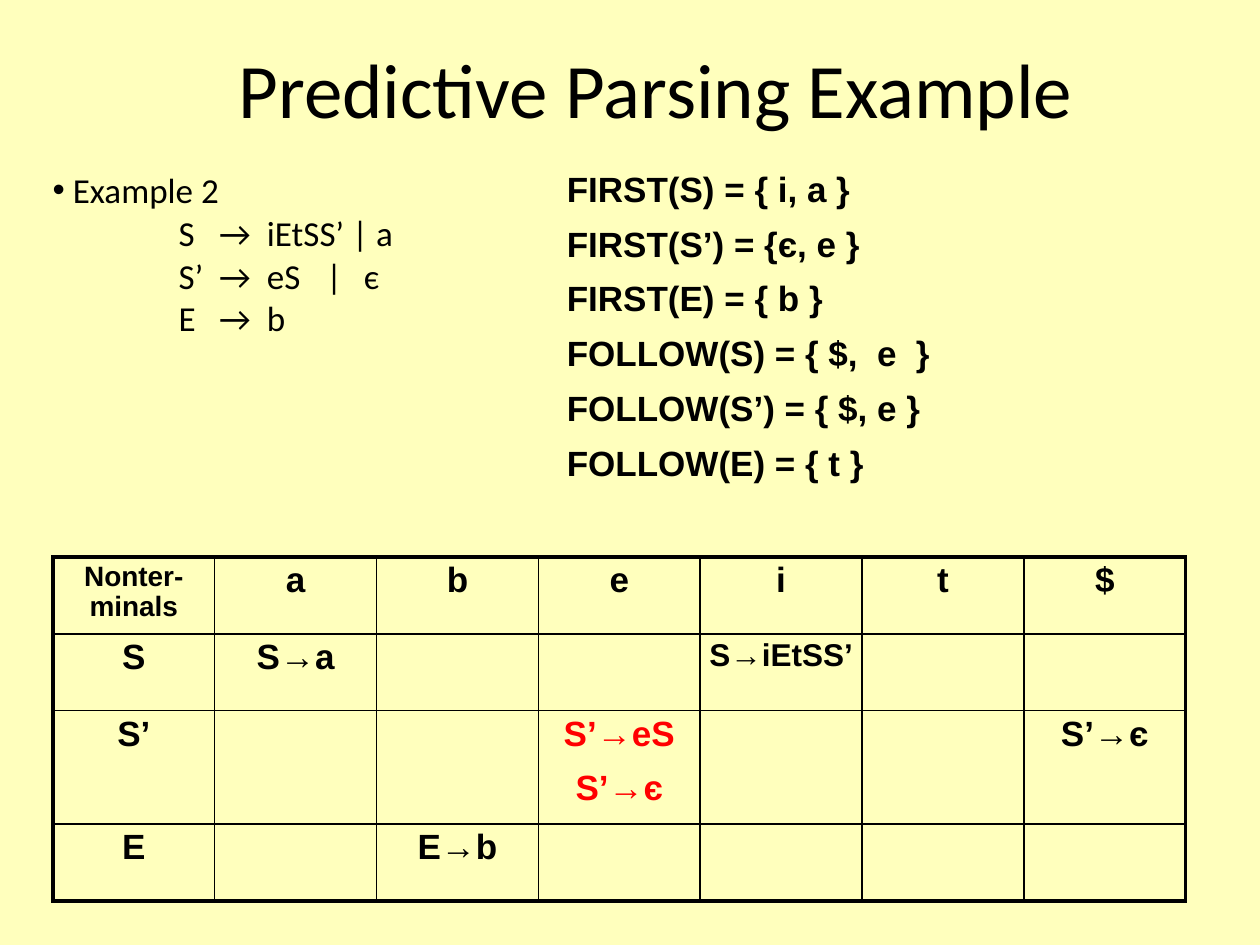
"""Build the predictive parsing example slide."""
import pptx
import pptx.dml.color
import pptx.enum.text
import pptx.oxml.ns
import pptx.util
from lxml import etree

Inches, Pt = pptx.util.Inches, pptx.util.Pt
ALIGN, ANCHOR = pptx.enum.text.PP_ALIGN, pptx.enum.text.MSO_ANCHOR
qn = pptx.oxml.ns.qn

COLORS = {"paper": "FFFFBD", "ink": "000000", "conflict": "FF0000"}
TITLE = "Predictive Parsing Example"
EXAMPLE = "Example 2"
GRAMMAR = ["\tS\t→\tiEtSS’ | a", "\tS’\t→\teS\t|\tє", "\tE\t→\tb"]
GRAMMAR_TABS = [1, 1.32, 1.7, 2.17, 2.47]
SETS = [
    "FIRST(S) = { i, a }",
    "FIRST(S’) = {є, e }",
    "FIRST(E) = { b }",
    "FOLLOW(S) = { $,  e  }",
    "FOLLOW(S’) = { $, e }",
    "FOLLOW(E) = { t }",
]
PARSE_TABLE = [
    ["Nonter-minals", "a", "b", "e", "i", "t", "$"],
    ["S", "S→a", "", "", "S→iEtSS’", "", ""],
    ["S’", "", "", "S’→eS\nS’→є", "", "", "S’→є"],
    ["E", "", "E→b", "", "", "", ""],
]
CELL_SIZES = {(0, 0): 16, (1, 4): 18}
CONFLICT = (2, 3)
ROW_HEIGHT, TALL_ROW_HEIGHT = 0.61, 0.9
TABLE_LEFT, TABLE_TOP, TABLE_WIDTH = 0.42, 4.42, 8.99
THICK, THIN = 2.25, 1


def rgb(name):
    return pptx.dml.color.RGBColor.from_string(COLORS[name])


def style(p, size, font, color="ink", bold=False, align=ALIGN.LEFT, spacing=1.0, before=0):
    p.alignment, p.line_spacing = align, spacing
    p.space_before = Pt(before)
    for r in p.runs:
        r.font.size, r.font.name, r.font.bold = Pt(size), font, bold
        r.font.color.rgb = rgb(color)


def fill_text(tf, lines, gap, **look):
    tf.text = "\n".join(lines)
    for i, p in enumerate(tf.paragraphs):
        style(p, before=gap if i else 0, **look)


def add_text(slide, box, lines, gap=0, anchor=ANCHOR.TOP, **look):
    tf = slide.shapes.add_textbox(*map(Inches, box)).text_frame
    tf.word_wrap, tf.vertical_anchor = True, anchor
    fill_text(tf, lines, gap, **look)
    return tf


def add_bullet(p, indent):
    ppr = p._p.get_or_add_pPr()
    ppr.set("marL", str(Inches(indent)))
    ppr.set("indent", str(-Inches(indent)))
    etree.SubElement(ppr, qn("a:buFont"), typeface="Arial")
    etree.SubElement(ppr, qn("a:buChar"), char="•")


def add_tabs(p, stops):
    tabs = etree.SubElement(p._p.get_or_add_pPr(), qn("a:tabLst"))
    for stop in stops:
        etree.SubElement(tabs, qn("a:tab"), pos=str(Inches(stop)), algn="l")


def set_border(cell, side, width):
    ln = etree.SubElement(cell._tc.get_or_add_tcPr(), qn(f"a:ln{side}"), w=str(Pt(width)))
    fill = etree.SubElement(ln, qn("a:solidFill"))
    etree.SubElement(fill, qn("a:srgbClr"), val=COLORS["ink"])


def add_parse_table(slide):
    rows, cols = len(PARSE_TABLE), len(PARSE_TABLE[0])
    heights = [TALL_ROW_HEIGHT if i == CONFLICT[0] else ROW_HEIGHT for i in range(rows)]
    box = TABLE_LEFT, TABLE_TOP, TABLE_WIDTH, sum(heights)
    table = slide.shapes.add_table(rows, cols, *map(Inches, box)).table
    table.first_row = table.horz_banding = False
    for row, height in zip(table.rows, heights):
        row.height = Inches(height)
    for i, texts in enumerate(PARSE_TABLE):
        for j, text in enumerate(texts):
            cell = table.cell(i, j)
            cell.margin_left = cell.margin_right = Inches(0.05)
            cell.margin_top = cell.margin_bottom = Inches(0.05)
            outer = {"L": j == 0, "R": j == cols - 1, "T": i == 0, "B": i == rows - 1}
            for side, is_edge in outer.items():
                set_border(cell, side, THICK if is_edge else THIN)
            cell.fill.background()
            if text:
                fill_text(cell.text_frame, text.split("\n"), 9.5,
                          size=CELL_SIZES.get((i, j), 20), font="Arial", bold=True,
                          color="conflict" if (i, j) == CONFLICT else "ink",
                          align=ALIGN.CENTER, spacing=0.95)


def main():
    prs = pptx.Presentation()
    prs.slide_width, prs.slide_height = Inches(10), Inches(7.5)
    slide = prs.slides.add_slide(prs.slide_layouts[6])
    slide.background.fill.solid()
    slide.background.fill.fore_color.rgb = rgb("paper")

    add_text(slide, (0.44, 0.27, 9.53, 0.85), [TITLE], anchor=ANCHOR.MIDDLE,
             size=44, font="Calibri", align=ALIGN.CENTER)
    tf = add_text(slide, (0.32, 1.34, 4.02, 2.5), [EXAMPLE] + GRAMMAR, gap=4,
                  size=20, font="Calibri", spacing=0.85)
    add_bullet(tf.paragraphs[0], 0.16)
    for p in tf.paragraphs[1:]:
        add_tabs(p, GRAMMAR_TABS)
    add_parse_table(slide)
    add_text(slide, (4.4, 1.33, 5.43, 3), SETS, gap=10.9,
             size=20, font="Arial", bold=True, spacing=0.85)
    prs.save("out.pptx")


if __name__ == "__main__":
    main()
